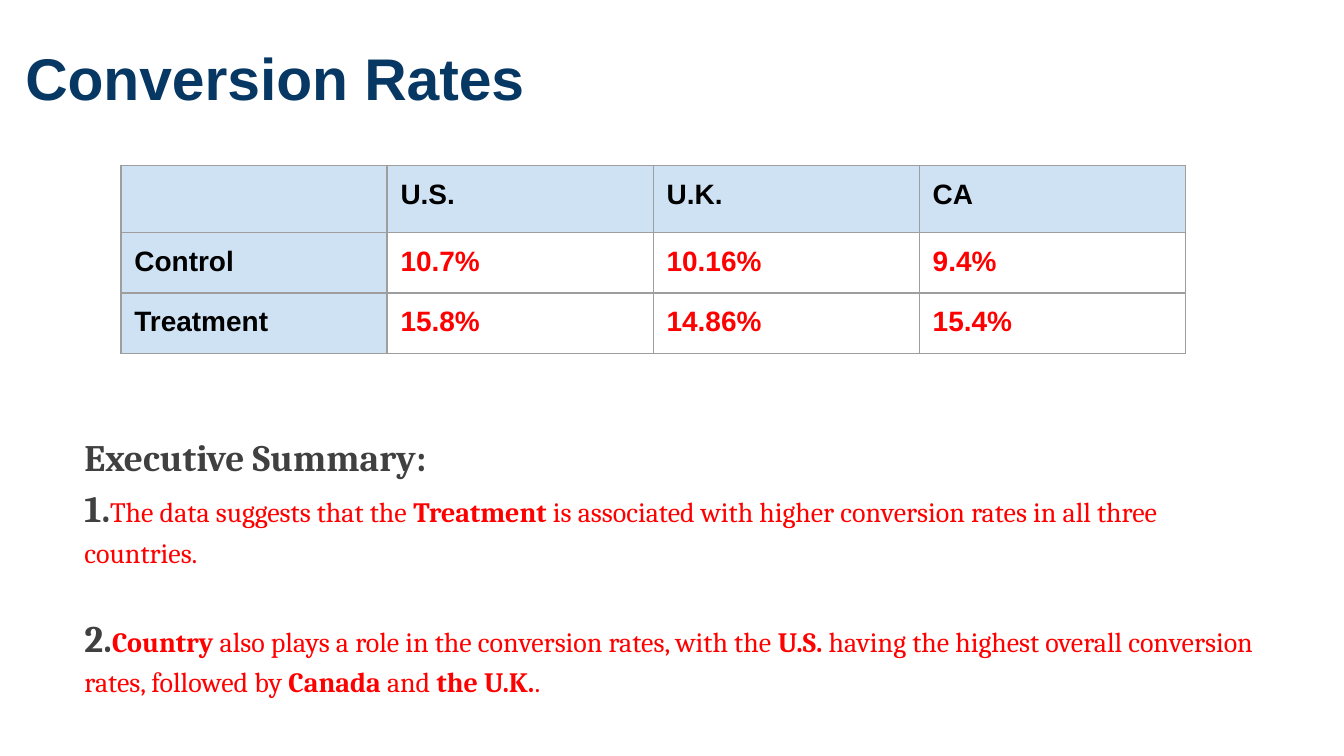
from lxml import etree
from pptx import Presentation
from pptx.dml.color import RGBColor
from pptx.enum.text import MSO_ANCHOR
from pptx.oxml.ns import qn
from pptx.util import Inches, Pt

TOP = MSO_ANCHOR.TOP
NAVY, BLACK, RED, GRAY = "073763", "000000", "FF0000", "404040"
PALE_BLUE, WHITE, BORDER = "CFE2F3", "FFFFFF", "9E9E9E"


def rgb(value):
    return RGBColor.from_string(value)


def add_run(p, text, size, font, color, bold=True):
    r = p.add_run()
    r.text = text
    r.font.size = Pt(size)
    r.font.name = font
    r.font.bold = bold
    r.font.color.rgb = rgb(color)


prs = Presentation()
prs.slide_width = Inches(10)
prs.slide_height = Inches(10 * 9 / 16)
s = prs.slides.add_slide(prs.slide_layouts[6])

frames = []
for left, top, width, height in [(0.09, 0.21, 10, 0.73), (0.53, 3.08, 8.98, 2.57)]:
    sp = s.shapes.add_textbox(Inches(left), Inches(top), Inches(width), Inches(height))
    tf = sp.text_frame
    tf.word_wrap = True
    tf.vertical_anchor = TOP
    tf.margin_left = tf.margin_right = tf.margin_top = tf.margin_bottom = Inches(0.1)
    frames.append(tf)
title, summary = frames

add_run(title.paragraphs[0], "Conversion Rates", 31.5, "Arial", NAVY)

rates = [
    ["", "U.S.", "U.K.", "CA"],
    ["Control", "10.7%", "10.16%", "9.4%"],
    ["Treatment", "15.8%", "14.86%", "15.4%"],
]
table = s.shapes.add_table(
    3, 4, Inches(0.9), Inches(1.23), Inches(7.92), Inches(1.4)
).table
for column in table.columns:
    column.width = Inches(1.98)
for row, height in zip(table.rows, [0.5, 0.45, 0.45]):
    row.height = Inches(height)

for i, values in enumerate(rates):
    for j, value in enumerate(values):
        cell = table.cell(i, j)
        is_header = i == 0 or j == 0
        cell.margin_left = cell.margin_right = Inches(0.1)
        cell.margin_top = cell.margin_bottom = Inches(0.1)
        if value:
            add_run(cell.text_frame.paragraphs[0], value, 15, "Arial",
                    BLACK if is_header else RED)
        tcPr = cell._tc.get_or_add_tcPr()
        for side in ("a:lnL", "a:lnR", "a:lnT", "a:lnB"):
            ln = etree.SubElement(tcPr, qn(side), w=str(Pt(0.75)))
            fill = etree.SubElement(ln, qn("a:solidFill"))
            etree.SubElement(fill, qn("a:srgbClr"), val=BORDER)
        cell.fill.solid()
        cell.fill.fore_color.rgb = rgb(PALE_BLUE if is_header else WHITE)

findings = [
    ("Executive Summary:", 0, []),
    ("1.", 0, [
        ("The data suggests that the ", False),
        ("Treatment", True),
        (" is associated with higher conversion rates in all three countries.", False),
    ]),
    ("2.", 21, [
        ("Country", True),
        (" also plays a role in the conversion rates, with the ", False),
        ("U.S.", True),
        (" having the highest overall conversion rates, followed by ", False),
        ("Canada", True),
        (" and ", False),
        ("the U.K.", True),
        (".", False),
    ]),
]
for i, (lead, gap, runs) in enumerate(findings):
    p = summary.paragraphs[0] if i == 0 else summary.add_paragraph()
    p.line_spacing = 1.15
    p.space_before = Pt(gap)
    add_run(p, lead, 20, "Cambria", GRAY)
    for text, bold in runs:
        add_run(p, text, 15, "Cambria", RED, bold)

prs.save("out.pptx")
